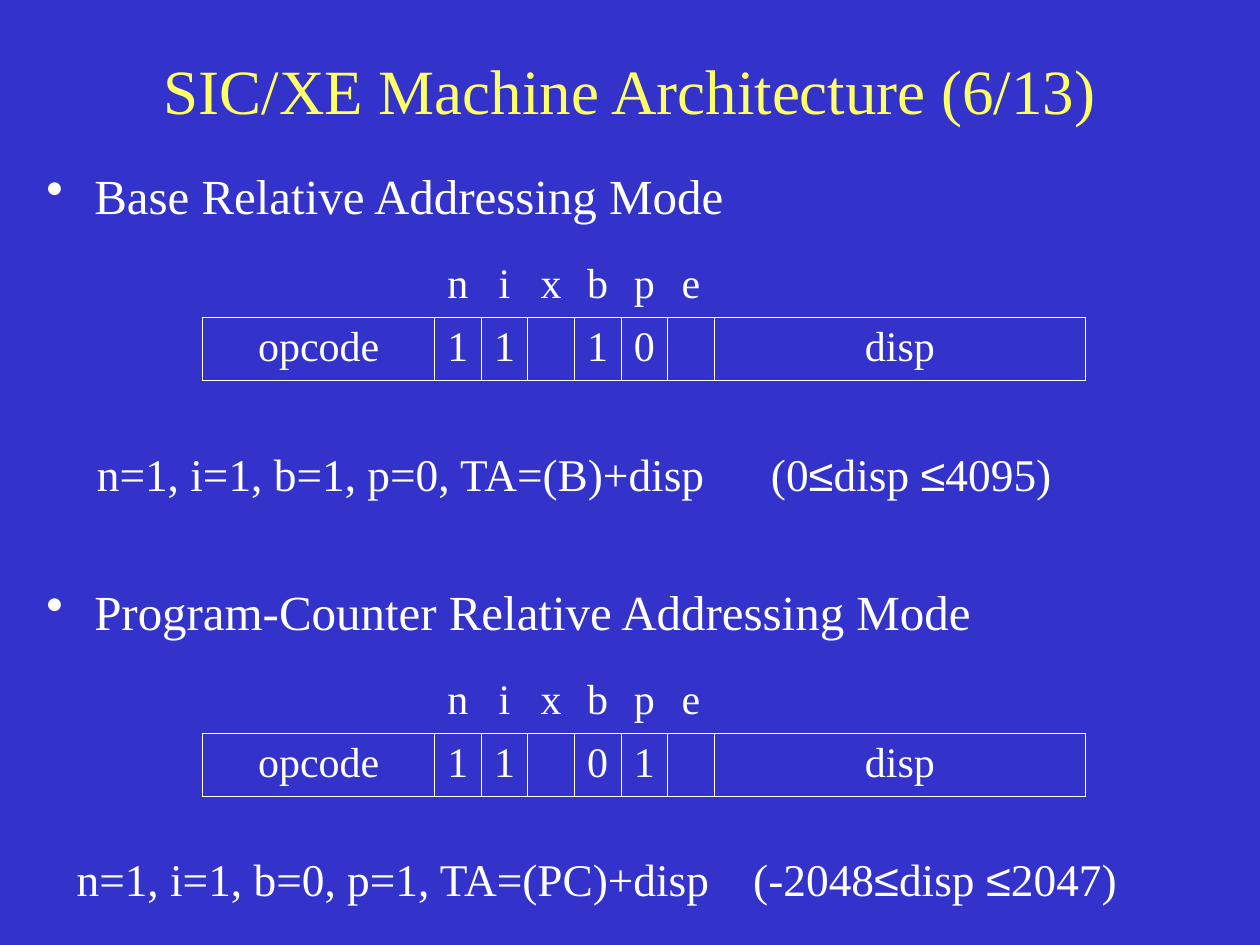
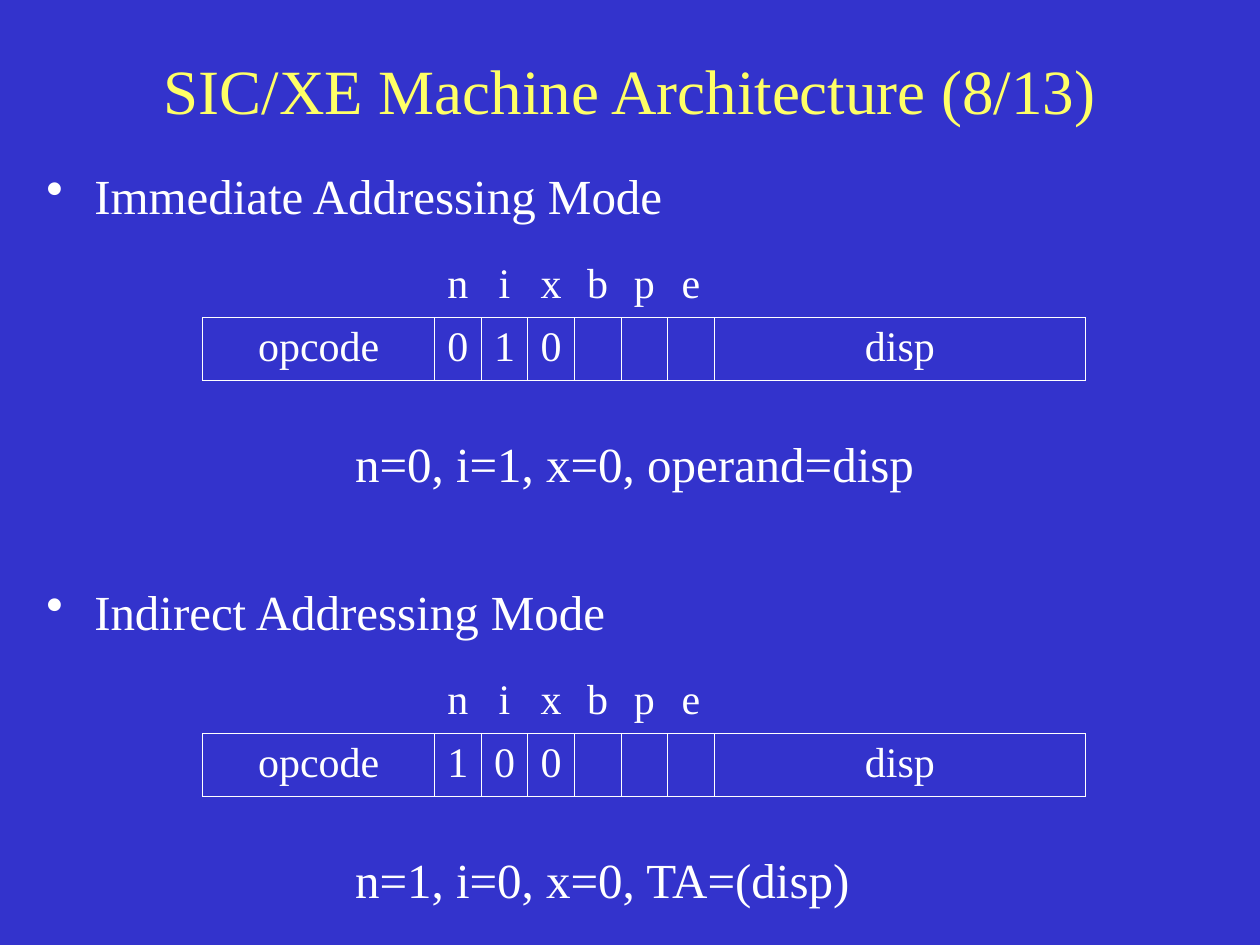
from itertools import groupby

from lxml import etree
from pptx import Presentation
from pptx.dml.color import RGBColor
from pptx.enum.text import MSO_ANCHOR, PP_ALIGN
from pptx.oxml.ns import qn
from pptx.util import Inches, Pt

BLUE = RGBColor(0x33, 0x33, 0xCC)
YELLOW = RGBColor(0xFF, 0xFF, 0x66)
WHITE = RGBColor(0xFF, 0xFF, 0xFF)
LEFT, CENTER = PP_ALIGN.LEFT, PP_ALIGN.CENTER
MIDDLE = MSO_ANCHOR.MIDDLE
SERIF, SYMBOL = "Times New Roman", "Arial"
NO_STYLE = "{2D5ABB26-0587-4C30-8999-92F81FD0307C}"

WIDTH, HEIGHT = Inches(10), Inches(7.5)
COL, ROW = WIDTH / 100, HEIGHT / 75
TITLE_BOX = (7.5, 2.5, 85, 9.2)
BLOCK_LEFT, BLOCK_TOP, BLOCK_STEP = 2.7, 12.3, 33
LINE_ROWS = 6.3
FIELD_COLS = [18.4] + [3.7] * 6 + [29.5]
FIELD_ROWS = 5
FLAGS = "nixbpe"

SLIDES = [
    ("SIC/XE Machine Architecture (6/13)", [
        ("Base Relative Addressing Mode", "11 10 ",
         "n=1, i=1, b=1, p=0, TA=(B)+disp\t(0≤disp ≤4095)",
         dict(at=(4, 22.1, 85.1), size=25.9, tab=53.5)),
        ("Program-Counter Relative Addressing Mode", "11 01 ",
         "n=1, i=1, b=0, p=1, TA=(PC)+disp\t(-2048≤disp ≤2047)",
         dict(at=(2.4, 21.3, 90.6), size=25.9, tab=53.7)),
    ]),
    ("SIC/XE Machine Architecture (8/13)", [
        ("Immediate Addressing Mode", "010   ",
         "n=0, i=1, x=0, operand=disp", dict(at=(24.5, 21.3, 48))),
        ("Indirect Addressing Mode", "100   ",
         "n=1, i=0, x=0, TA=(disp)", dict(at=(24.5, 21.3, 43.3))),
    ]),
]


def grid(left, top, width, height):
    return [round(v) for v in (left * COL, top * ROW, width * COL, height * ROW)]


def write(tf, text, size=28, color=WHITE, align=LEFT, bullet=False, tab=None):
    p = tf.paragraphs[0]
    p.alignment = align
    pPr = p._p.get_or_add_pPr()
    if bullet:
        indent = round(3.8 * COL)
        pPr.set("marL", str(indent))
        pPr.set("indent", str(-indent))
        etree.SubElement(pPr, qn("a:buChar"), char="•")
    if tab:
        tabs = etree.SubElement(pPr, qn("a:tabLst"))
        etree.SubElement(tabs, qn("a:tab"), pos=str(round(tab * COL)), algn="l")
    for is_symbol, chars in groupby(text, lambda c: c == "≤"):
        r = p.add_run()
        r.text = "".join(chars)
        r.font.name = SYMBOL if is_symbol else SERIF
        r.font.size = Pt(size)
        r.font.color.rgb = color


def add_text(s, box, text, **style):
    tf = s.shapes.add_textbox(*grid(*box)).text_frame
    tf.word_wrap = True
    tf.vertical_anchor = MIDDLE
    write(tf, text, **style)


def outline(cell):
    tcPr = cell._tc.get_or_add_tcPr()
    for side in ("a:lnL", "a:lnR", "a:lnT", "a:lnB"):
        ln = etree.SubElement(tcPr, qn(side), w=str(Pt(0.45)))
        fill = etree.SubElement(ln, qn("a:solidFill"))
        etree.SubElement(fill, qn("a:srgbClr"), val=str(WHITE))


def add_instruction(s, left, top, bits):
    rows = [["", *FLAGS, ""], ["opcode", *bits, "disp"]]
    box = grid(left, top, sum(FIELD_COLS), FIELD_ROWS * len(rows))
    table = s.shapes.add_table(len(rows), len(FIELD_COLS), *box).table
    table.first_row = table.horz_banding = False
    table._tbl.tblPr.find(qn("a:tableStyleId")).text = NO_STYLE
    for column, cols in zip(table.columns, FIELD_COLS):
        column.width = round(cols * COL)
    for y, texts in enumerate(rows):
        for x, text in enumerate(texts):
            cell = table.cell(y, x)
            if y == 1:
                outline(cell)
            cell.fill.background()
            if text.strip():
                write(cell.text_frame, text, size=24, align=CENTER)


def add_mode(s, left, top, name, bits, formula, at, **style):
    add_text(s, (left, top, 85, LINE_ROWS), name, bullet=True)
    add_instruction(s, left + 13.4, top + 7.9, bits)
    dx, dy, width = at
    add_text(s, (left + dx, top + dy, width, LINE_ROWS), formula, **style)


def add_slide(prs, title, modes):
    s = prs.slides.add_slide(prs.slide_layouts[6])
    s.background.fill.solid()
    s.background.fill.fore_color.rgb = BLUE
    add_text(s, TITLE_BOX, title, size=36, color=YELLOW, align=CENTER)
    for i, (name, bits, formula, style) in enumerate(modes):
        add_mode(s, BLOCK_LEFT, BLOCK_TOP + i * BLOCK_STEP, name, bits, formula, **style)


def main():
    prs = Presentation()
    prs.slide_width, prs.slide_height = WIDTH, HEIGHT
    for title, modes in SLIDES:
        add_slide(prs, title, modes)
    prs.save("out.pptx")


if __name__ == "__main__":
    main()
